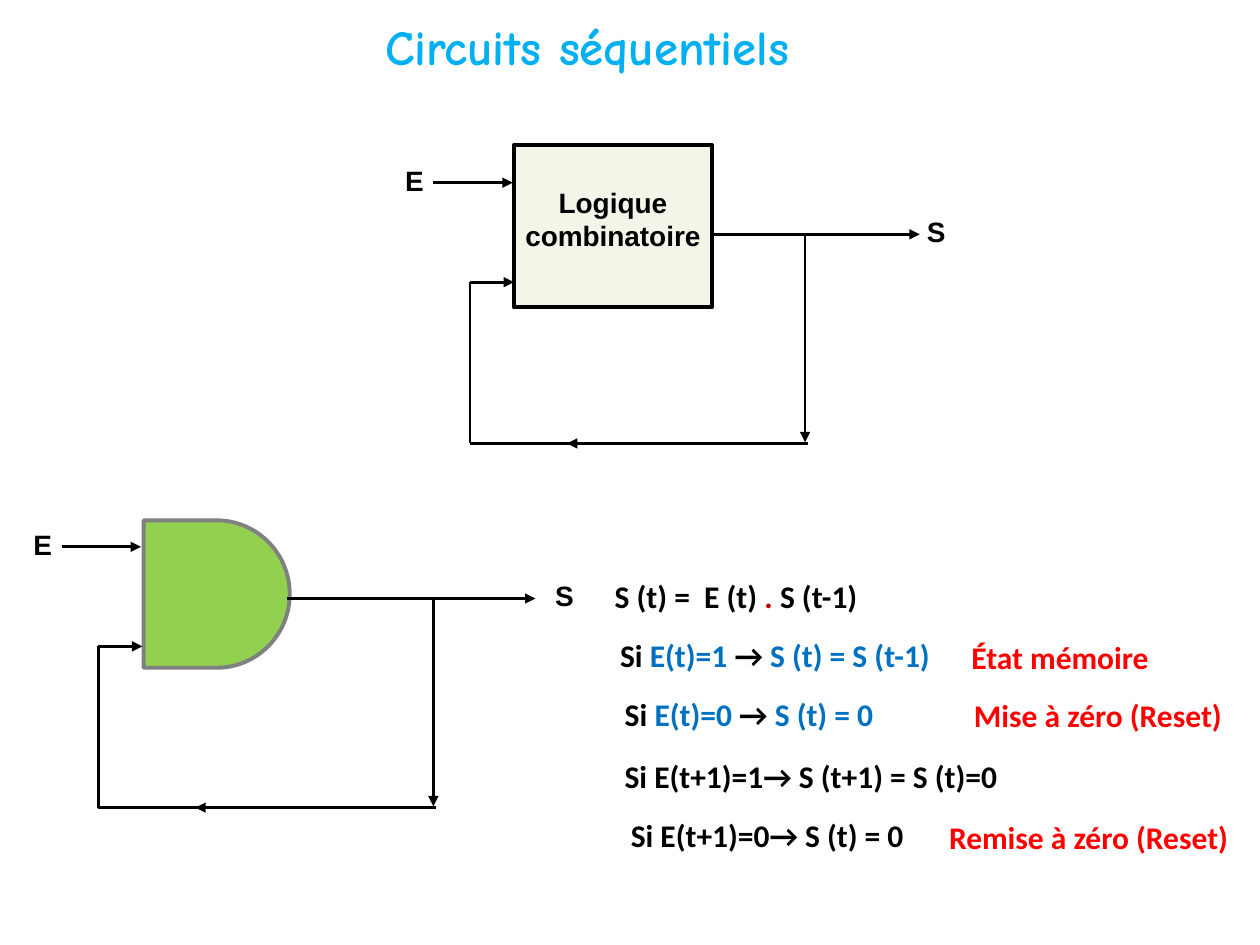
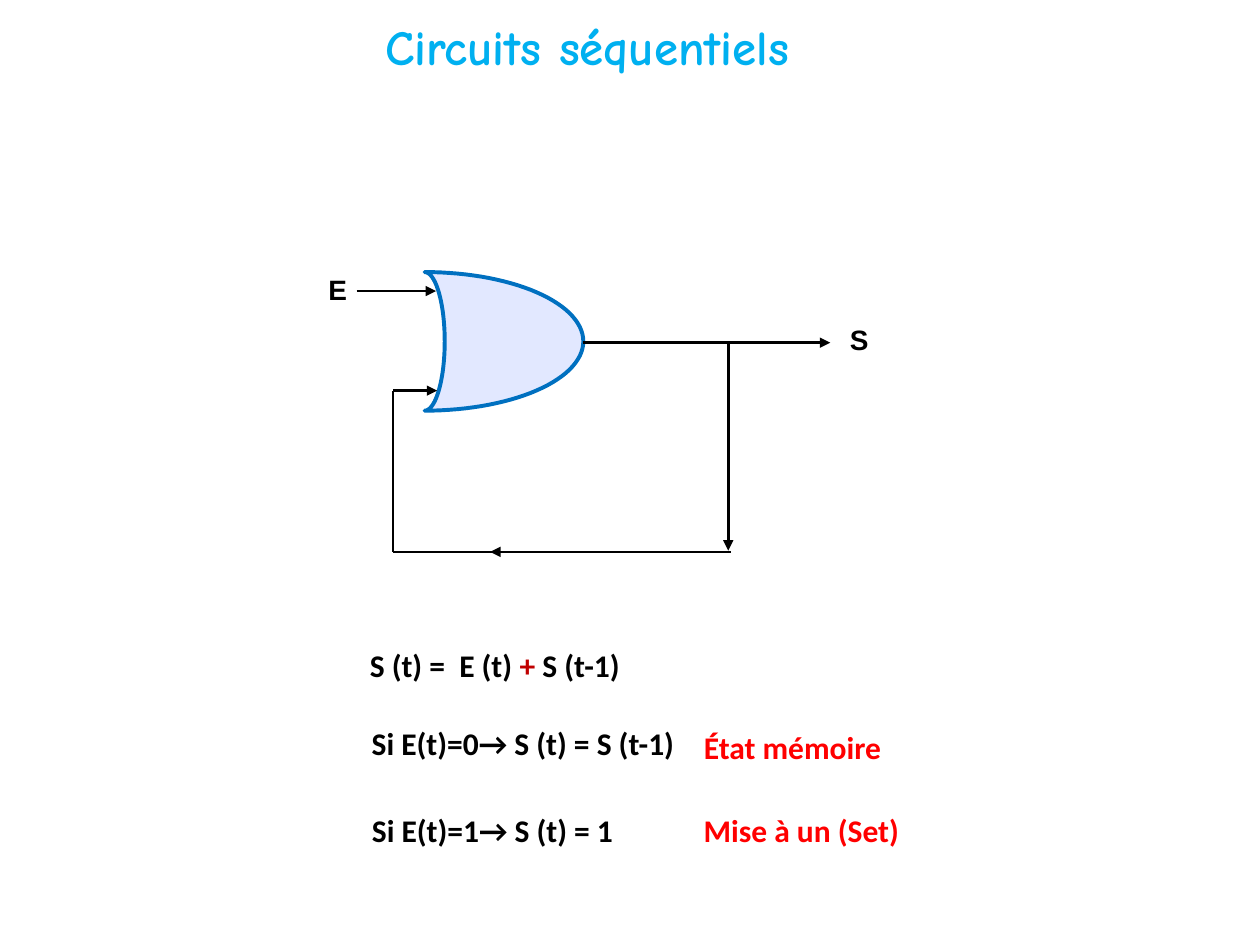
"""Builds two slides on sequential circuits: feedback loops and their equations."""
import math

from lxml import etree
from pptx import Presentation
from pptx import util as u
from pptx.dml.color import RGBColor
from pptx.enum import shapes, text
from pptx.oxml.ns import qn

COLORS = {
    "black": "000000", "title": "00B0F0", "operator": "C00000", "case": "0070C0",
    "state": "FF0000", "block": "F4F4E8", "and": "92D050", "and_edge": "808080",
    "or": "E2E8FF", "or_edge": "0070C0",
}
TITLE = "Circuits séquentiels"
TITLE_BOX = (2.73, 0.08, 3.86, 0.57)
TITLE_FONT = {"name": "Comic Neue", "size": u.Pt(28), "bold": True}
LABEL_FONT = {"name": "Arial", "size": u.Pt(16), "bold": True}
EQUATION_FONT = {"name": "Calibri", "size": u.Pt(18), "bold": True}
EQUATION_INSETS = (0.1, 0.05, 0.1, 0.05)
STATE_INSETS = (0.12, 0.08, 0.12, 0.08)
CENTER, LEFT = text.PP_ALIGN.CENTER, text.PP_ALIGN.LEFT

SLIDES = [
    {
        "circuits": [
            {"gate": "block", "box": (4.08, 1.15, 1.57, 1.29), "corner": (3.73, 1.86),
             "output": 1.92},
            {"gate": "and", "box": (1.14, 4.13, 1.16, 1.17), "corner": (0.78, 4.75),
             "output": 1.5},
        ],
        "equations": [
            ((4.66, 4.53, 2.42), [("S (t) =  E (t) ", "black"), (".", "operator"),
                                  (" S (t-1) ", "black")]),
            ((4.41, 5, 3.54), [("Si ", "black"), ("E(t)=1 ", "case"), ("→ ", "black"),
                               ("S (t) = S (t-1) ", "case")]),
            ((4.63, 5.47, 2.63), [("Si ", "black"), ("E(t)=0 ", "case"), ("→ ", "black"),
                                  ("S (t) = 0", "case")]),
            ((4.67, 5.96, 3.59), [("Si E(t+1)=1→ S (t+1) = S (t)=0 ", "black")]),
            ((4.64, 6.43, 2.9), [("Si E(t+1)=0→ S (t) = 0", "black")]),
        ],
        "states": [
            ((7.59, 4.98, 2.13), "État mémoire", LEFT),
            ((7.61, 5.44, 2.33), "Mise à zéro (Reset)", LEFT),
            ((7.28, 6.41, 2.72), "Remise à zéro (Reset)", CENTER),
        ],
    },
    {
        "circuits": [
            {"gate": "or", "box": (3.37, 2.16, 1.26, 1.1), "corner": (3.12, 2.72),
             "output": 1.51},
        ],
        "equations": [
            ((2.66, 5.08, 2.59), [("S (t) =  E (t)", "black"), (" + ", "operator"),
                                  ("S (t-1) ", "black")]),
            ((2.73, 5.7, 2.9), [("Si E(t)=0→ S (t) = S (t-1) ", "black")]),
            ((2.58, 6.39, 2.66), [("Si E(t)=1→ S (t) = 1", "black")]),
        ],
        "states": [
            ((5.23, 5.7, 2.12), "État mémoire", CENTER),
            ((5, 6.36, 2.72), "Mise à un (Set)", CENTER),
        ],
    },
]

BLOCK_NAME = "Logique combinatoire"
LOOP_WIRES = [
    ((-0.29, -0.41), (0.34, -0.41), True),
    ((2.66, 0), (2.66, 1.65), True),
    ((2.68, 1.66), (0, 1.66), False),
    ((0, 1.66), (0, 0.38), False),
    ((0, 0.38), (0.35, 0.38), True),
    ((1.51, 1.66), (0.77, 1.66), True),
]
OUTPUT_END = 3.47
BLOCK_OUTPUT_END = 3.57
LOOP_LABELS = [("E", (-0.54, -0.56)), ("S", (3.6, -0.16))]


def rgb(color):
    return RGBColor.from_string(COLORS[color])


def inches(values):
    return [u.Inches(value) for value in values]


def apply(target, formats):
    for attribute, value in formats.items():
        setattr(target, attribute, value)


def write(frame, runs, font, insets, align=CENTER, **frame_format):
    left, top, right, bottom = inches(insets)
    apply(frame, {"margin_left": left, "margin_top": top, "margin_right": right,
                  "margin_bottom": bottom, "word_wrap": True, **frame_format})
    paragraph = frame.paragraphs[0]
    paragraph.alignment = align
    for words, color in runs:
        run = paragraph.add_run()
        run.text = words
        apply(run.font, font)
        run.font.color.rgb = rgb(color)


def add_text(slide, box, *args, **frame_format):
    write(slide.shapes.add_textbox(*inches(box)).text_frame, *args, **frame_format)


def paint(gate, fill, edge):
    gate.shadow.inherit = False
    gate.fill.solid()
    gate.fill.fore_color.rgb = rgb(fill)
    gate.line.color.rgb = rgb(edge)
    gate.line.width = u.Pt(2.25)


def add_block(slide, box):
    block = slide.shapes.add_shape(shapes.MSO_SHAPE.RECTANGLE, *inches(box))
    paint(block, "block", "black")
    write(block.text_frame, [(BLOCK_NAME, "black")], LABEL_FONT, (0.08, 0, 0.08, 0.12),
          vertical_anchor=text.MSO_ANCHOR.MIDDLE)


def add_and(slide, box):
    gate = slide.shapes.add_shape(shapes.MSO_SHAPE.FLOWCHART_DELAY, *inches(box))
    paint(gate, "and", "and_edge")


def add_or(slide, box):
    left, top, width, height = box
    angles = [math.radians(degrees) for degrees in range(-90, 91, 3)]

    def arc(reach, sweep):
        return [inches((left + reach * math.cos(angle),
                        top + height / 2 * (1 + math.sin(angle)))) for angle in sweep]

    outline = arc(width, angles) + arc(0.16, reversed(angles))
    builder = slide.shapes.build_freeform(*outline[0])
    builder.add_line_segments(outline[1:], close=True)
    paint(builder.convert_to_shape(), "or", "or_edge")


GATES = {"block": add_block, "and": add_and, "or": add_or}


def add_wire(slide, start, end, arrow):
    wire = slide.shapes.add_connector(shapes.MSO_CONNECTOR.STRAIGHT,
                                      *inches((*start, *end)))
    wire.line.color.rgb = rgb("black")
    wire.line.width = u.Pt(1.5)
    properties = wire.element.spPr
    if arrow:
        etree.SubElement(properties.find(qn("a:ln")), qn("a:tailEnd"), type="triangle")
    etree.SubElement(properties, qn("a:effectLst"))


def add_circuit(slide, gate, box, corner, output):
    def place(point):
        return corner[0] + point[0], corner[1] + point[1]

    GATES[gate](slide, box)
    end = BLOCK_OUTPUT_END if gate == "block" else OUTPUT_END
    for start, stop, arrow in [((output, 0), (end, 0), True), *LOOP_WIRES]:
        add_wire(slide, place(start), place(stop), arrow)
    for signal, point in LOOP_LABELS:
        add_text(slide, (*place(point), 0.2, 0.27), [(signal, "black")], LABEL_FONT,
                 (0, 0, 0, 0))


def add_slide(deck, content):
    slide = deck.slides.add_slide(deck.slide_layouts[6])
    for circuit in content["circuits"]:
        add_circuit(slide, **circuit)
    for place, runs in content["equations"]:
        add_text(slide, (*place, 0.4), runs, EQUATION_FONT, EQUATION_INSETS)
    for place, state, align in content["states"]:
        add_text(slide, (*place, 0.42), [(state, "state")], EQUATION_FONT, STATE_INSETS,
                 align)
    add_text(slide, TITLE_BOX, [(TITLE, "title")], TITLE_FONT, EQUATION_INSETS,
             word_wrap=False, auto_size=text.MSO_AUTO_SIZE.SHAPE_TO_FIT_TEXT)


def main():
    deck = Presentation()
    apply(deck, {"slide_width": u.Inches(10), "slide_height": u.Inches(7.5)})
    for content in SLIDES:
        add_slide(deck, content)
    deck.save("out.pptx")


if __name__ == "__main__":
    main()
